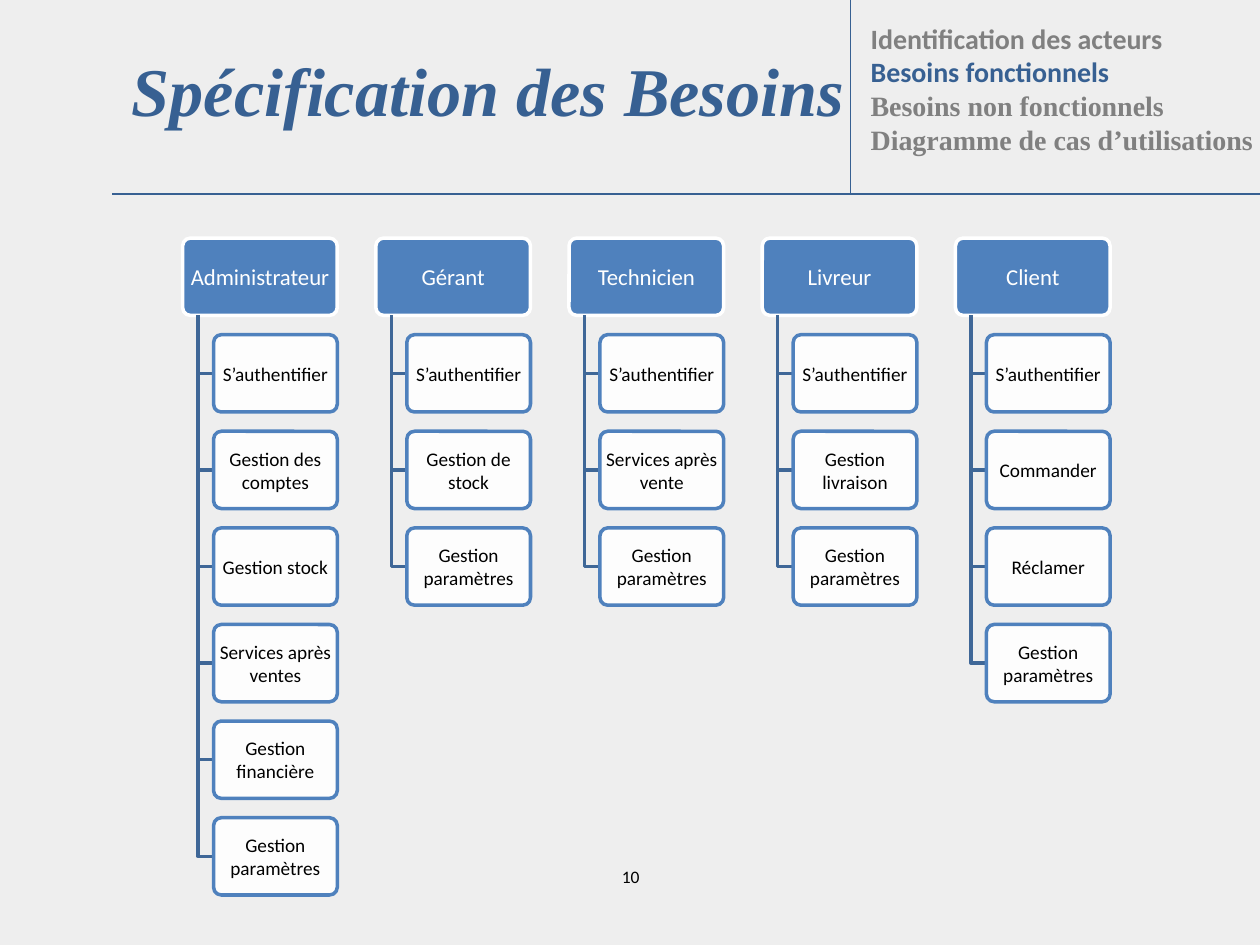
from lxml import etree
from pptx import Presentation
from pptx.dml.color import RGBColor
from pptx.enum.shapes import MSO_CONNECTOR, MSO_SHAPE
from pptx.enum.text import MSO_ANCHOR, PP_ALIGN
from pptx.oxml.ns import qn
from pptx.util import Inches, Pt

LINE, ROUND = MSO_CONNECTOR.STRAIGHT, MSO_SHAPE.ROUNDED_RECTANGLE
TOP, MIDDLE = MSO_ANCHOR.TOP, MSO_ANCHOR.MIDDLE
LEFT, CENTER = PP_ALIGN.LEFT, PP_ALIGN.CENTER

PALE = RGBColor(0xEE, 0xEE, 0xEE)
WHITE = RGBColor(0xFF, 0xFF, 0xFF)
BLACK = RGBColor(0x00, 0x00, 0x00)
GRAY = RGBColor(0x80, 0x80, 0x80)
NAVY = RGBColor(0x37, 0x60, 0x92)
STEEL = RGBColor(0x3F, 0x67, 0x97)
BLUE = RGBColor(0x4F, 0x81, 0xBD)

SANS, SERIF = "Calibri", "Times New Roman"

# Tree grid: every measure is a share of the row step
LEFT_X, TOP_Y = 1.45, 1.89
ROW = 4.6 / 6
COL = 2 * ROW
HIGH, WIDE = 0.8 * ROW, 1.6 * ROW
TRUNK, INDENT = 0.16 * ROW, 0.32 * ROW

MENU = [
    ("Identification des acteurs", SANS, GRAY),
    ("Besoins fonctionnels", SANS, NAVY),
    ("Besoins non fonctionnels", SERIF, GRAY),
    ("Diagramme de cas d’utilisations", SERIF, GRAY),
]

LOGIN, PARAMS = "S’authentifier", "Gestion paramètres"
ACTORS = {
    "Administrateur": ["Gestion des comptes", "Gestion stock",
                       "Services après ventes", "Gestion financière"],
    "Gérant": ["Gestion de stock"],
    "Technicien": ["Services après vente"],
    "Livreur": ["Gestion livraison"],
    "Client": ["Commander", "Réclamer"],
}


def assign(target, values):
    for name, value in values.items():
        setattr(target, name, value)


def write(frame, lines, size, align=CENTER, anchor=TOP, pad=(0.09, 0.04),
          wrap=True, **style):
    """Fill a text frame with lines of (text, font, colour)."""
    side, edge = map(Inches, pad)
    assign(frame, {"word_wrap": wrap, "vertical_anchor": anchor,
                   "margin_left": side, "margin_right": side,
                   "margin_top": edge, "margin_bottom": edge})
    for i, (text, face, color) in enumerate(lines):
        para = frame.add_paragraph() if i else frame.paragraphs[0]
        para.alignment = align
        run = para.add_run()
        run.text = text
        assign(run.font, {"name": face, "size": Pt(size), **style})
        run.font.color.rgb = color


def label(slide, box, lines, size, **options):
    shape = slide.shapes.add_textbox(*map(Inches, box))
    write(shape.text_frame, lines, size, **options)


def rule(slide, *ends):
    line = slide.shapes.add_connector(LINE, *map(Inches, ends))
    line.line.color.rgb = NAVY
    line.line.width = Pt(1)
    etree.SubElement(line._element.spPr, qn("a:effectLst"))


def card(group, x, y, width, text, size, fill, edge, ink, pad, alpha=None):
    shape = group.shapes.add_shape(
        ROUND, *map(Inches, (x, y, width, HIGH)))
    shape.shadow.inherit = False
    shape.adjustments[0] = 0.1
    shape.fill.solid()
    shape.fill.fore_color.rgb = fill
    if alpha:
        tint = shape._element.spPr.find(qn("a:solidFill"))[0]
        etree.SubElement(tint, qn("a:alpha"), val=str(alpha * 1000))
    shape.line.color.rgb = edge
    shape.line.width = Pt(2)
    write(shape.text_frame, [(text, SANS, ink)], size,
          anchor=MIDDLE, pad=pad)


def branch(group, x, start, end):
    """Draw the elbow from an actor down to one of its needs."""
    left, right, top, low = map(
        Inches, (x + TRUNK, x + INDENT, start, end))
    path = group.shapes.build_freeform(left, top)
    path.add_line_segments([(left, low), (right, low)], close=False)
    shape = path.convert_to_shape()
    shape.shadow.inherit = False
    shape.fill.background()
    shape.line.color.rgb = STEEL
    shape.line.width = Pt(2)


def tree(group, col, actor, needs):
    x = LEFT_X + col * COL
    card(group, x, TOP_Y, WIDE, actor, 13, BLUE, WHITE, WHITE, (0.03, 0.02))
    for row, need in enumerate([LOGIN, *needs, PARAMS], 1):
        y = TOP_Y + row * ROW
        branch(group, x, TOP_Y + HIGH, y + HIGH / 2)
        card(group, x + INDENT, y, WIDE - INDENT, need, 11,
             WHITE, BLUE, BLACK, (0.02, 0.02), alpha=90)


def main():
    deck = Presentation()
    deck.slide_width, deck.slide_height = Inches(10), Inches(7.5)
    slide = deck.slides.add_slide(deck.slide_layouts[6])
    slide.background.fill.solid()
    slide.background.fill.fore_color.rgb = PALE

    # Page number and header rules
    label(slide, (3.42, 6.83, 3.17, 0.52), [("10", SANS, BLACK)], 10)
    rule(slide, 0.89, 1.54, 10, 1.54)
    rule(slide, 6.75, 1.54, 6.75, 0)

    # Title and section menu
    label(slide, (0.93, 0.34, 5.89, 0.74),
          [("Spécification des Besoins", SERIF, NAVY)], 39,
          wrap=False, bold=True, italic=True)
    label(slide, (6.82, 0.13, 3.26, 1.17), MENU, 16,
          align=LEFT, wrap=False, bold=True)

    # Actors and their needs
    group = slide.shapes.add_group_shape()
    for col, (actor, needs) in enumerate(ACTORS.items()):
        tree(group, col, actor, needs)

    deck.save("out.pptx")


main()
